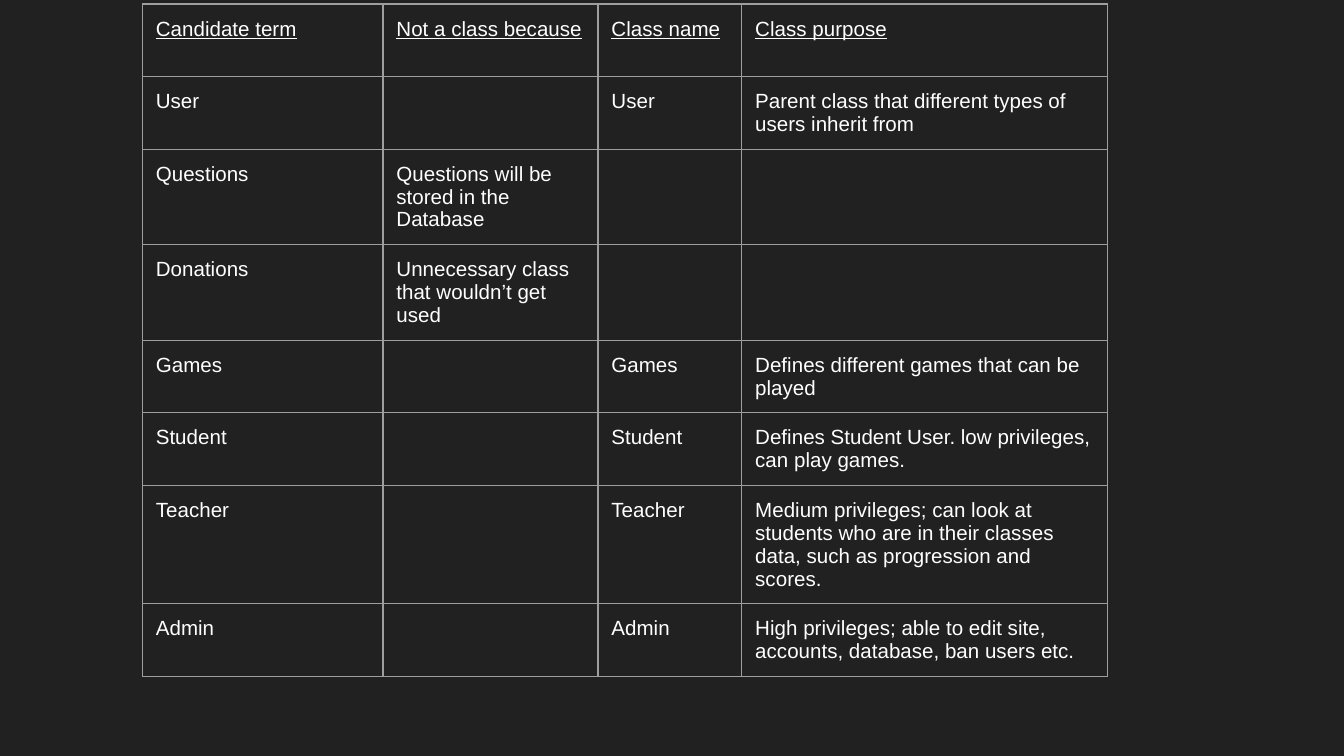
import pptx
import pptx.dml.color
import pptx.oxml
import pptx.oxml.ns
import pptx.util

COLORS = {"background": "212121", "text": "FFFFFF", "border": "9E9E9E"}
FONT = "Arial"

# Content: header and one row per candidate term
HEADER = ("Candidate term", "Not a class because", "Class name", "Class purpose")
TERMS = [
    ("User", "", "User", "Parent class that different types of users inherit from"),
    ("Questions", "Questions will be stored in the Database", "", ""),
    ("Donations", "Unnecessary class that wouldn’t get used", "", ""),
    ("Games", "", "Games", "Defines different games that can be played"),
    ("Student", "", "Student", "Defines Student User. low privileges, can play games."),
    ("Teacher", "", "Teacher", "Medium privileges; can look at students who are in "
     "their classes data, such as progression and scores."),
    ("Admin", "", "Admin", "High privileges; able to edit site, accounts, database, "
     "ban users etc."),
]
ROWS = [HEADER] + TERMS

# Grid in inches: a 16:9 slide, each row as tall as its lines of text plus padding
SLIDE_WIDTH = 10
SLIDE_HEIGHT = SLIDE_WIDTH * 9 / 16
TABLE_LEFT, TABLE_TOP = 1.06, 0.03
COLUMN_WIDTHS = (1.79, 1.6, 1.07, 2.72)
LINES_PER_ROW = (2, 2, 3, 3, 2, 2, 4, 2)
LINE_HEIGHT = 0.17
PADDING = 0.1
ROW_HEIGHTS = [2 * PADDING + lines * LINE_HEIGHT for lines in LINES_PER_ROW]
BORDER_WIDTH = 0.75


def rgb(name):
    return pptx.dml.color.RGBColor.from_string(COLORS[name])


def write_text(cell, text, size=11, color="text", underline=False):
    run = cell.text_frame.paragraphs[0].add_run()
    run.text = text
    run.font.name = FONT
    run.font.size = pptx.util.Pt(size)
    run.font.color.rgb = rgb(color)
    run.font.underline = underline


def format_cell(cell):
    padding = pptx.util.Inches(PADDING)
    cell.margin_left = cell.margin_right = padding
    cell.margin_top = cell.margin_bottom = padding
    properties = cell._tc.get_or_add_tcPr()
    for side in ("lnL", "lnR", "lnT", "lnB"):
        properties.append(pptx.oxml.parse_xml(
            f'<a:{side} {pptx.oxml.ns.nsdecls("a")} w="{pptx.util.Pt(BORDER_WIDTH)}">'
            f'<a:solidFill><a:srgbClr val="{COLORS["border"]}"/></a:solidFill>'
            f'</a:{side}>'))
    cell.fill.background()


# Slide
presentation = pptx.Presentation()
presentation.slide_width = pptx.util.Inches(SLIDE_WIDTH)
presentation.slide_height = pptx.util.Inches(SLIDE_HEIGHT)
slide = presentation.slides.add_slide(presentation.slide_layouts[6])
slide.background.fill.solid()
slide.background.fill.fore_color.rgb = rgb("background")

# Table
table = slide.shapes.add_table(
    len(ROWS), len(HEADER),
    pptx.util.Inches(TABLE_LEFT), pptx.util.Inches(TABLE_TOP),
    pptx.util.Inches(sum(COLUMN_WIDTHS)), pptx.util.Inches(sum(ROW_HEIGHTS))).table
table.first_row = table.horz_banding = False
for column, width in zip(table.columns, COLUMN_WIDTHS):
    column.width = pptx.util.Inches(width)
for row, height in zip(table.rows, ROW_HEIGHTS):
    row.height = pptx.util.Inches(height)

# Cells
for row_index, texts in enumerate(ROWS):
    for column_index, text in enumerate(texts):
        cell = table.cell(row_index, column_index)
        format_cell(cell)
        if text:
            write_text(cell, text, underline=row_index == 0)

presentation.save("out.pptx")
